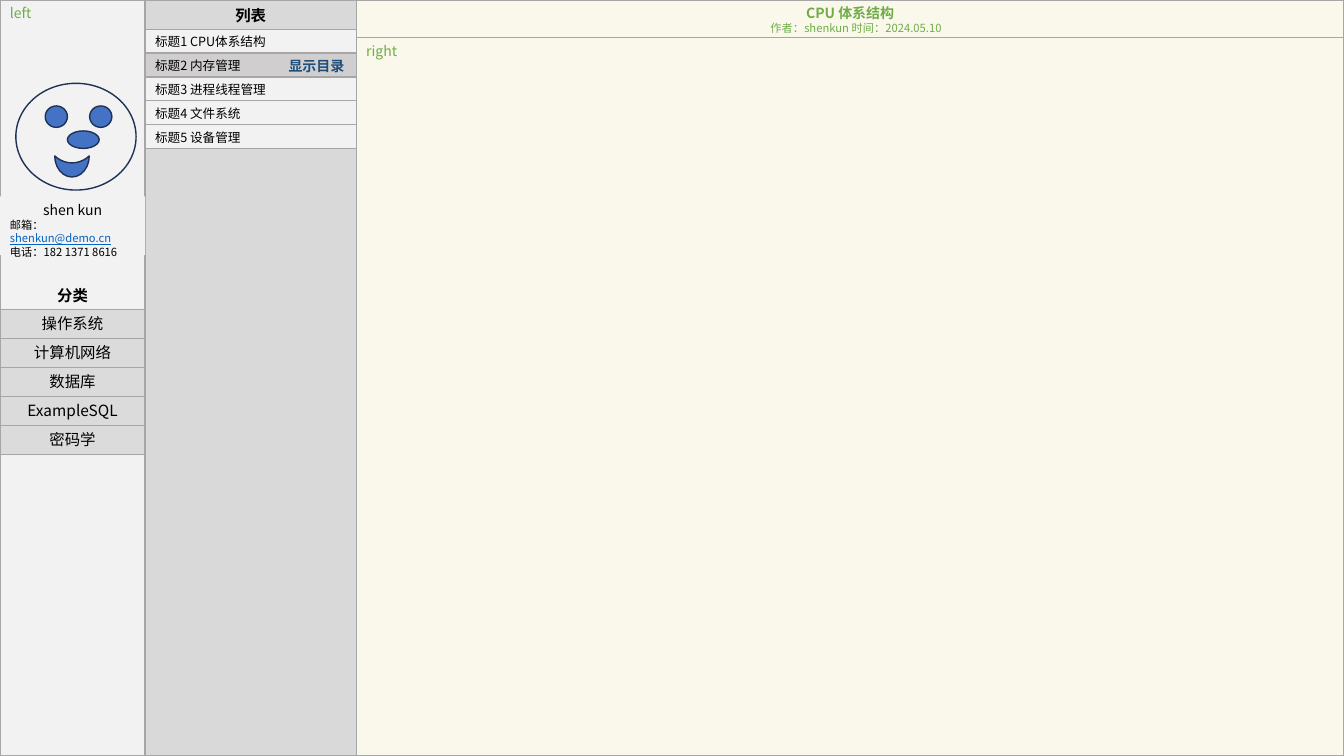
"""Build a slide that sketches the page layout of a personal notes site."""
from lxml import etree
from pptx import Presentation
from pptx.dml.color import RGBColor
from pptx.enum.shapes import MSO_SHAPE
from pptx.enum.text import MSO_ANCHOR, PP_ALIGN
from pptx.oxml.ns import qn
from pptx.util import Cm, Pt

RECT, OVAL, MOON = MSO_SHAPE.RECTANGLE, MSO_SHAPE.OVAL, MSO_SHAPE.MOON
TOP, MIDDLE = MSO_ANCHOR.TOP, MSO_ANCHOR.MIDDLE
LEFT, CENTER = PP_ALIGN.LEFT, PP_ALIGN.CENTER

FONT = "Noto Sans CJK SC"
BLACK = RGBColor(0x00, 0x00, 0x00)
PALE = RGBColor(0xF2, 0xF2, 0xF2)
GREY = RGBColor(0xD9, 0xD9, 0xD9)
BUTTON = RGBColor(0xDB, 0xDB, 0xDB)
ACTIVE = RGBColor(0xD0, 0xCE, 0xCE)
EDGE = RGBColor(0xA6, 0xA6, 0xA6)
CREAM = RGBColor(0xF9, 0xF8, 0xEB)
GREEN = RGBColor(0x70, 0xAD, 0x47)
BLUE = RGBColor(0x44, 0x72, 0xC4)
NAVY = RGBColor(0x1E, 0x32, 0x56)
LINK = RGBColor(0x05, 0x63, 0xC1)
DEEP = RGBColor(0x1F, 0x4E, 0x79)

WIDTH, HEIGHT = 33.87, 19.05
SIDE, LIST = 3.66, 5.32
PAGE = SIDE + LIST
HEAD = 0.94
GROUPS = ["操作系统", "计算机网络", "数据库", "ExampleSQL", "密码学"]
TITLES = ["标题1 CPU体系结构", "标题2 内存管理", "标题3 进程线程管理",
          "标题4 文件系统", "标题5 设备管理"]
CHOSEN = 1


def style(run, size, color, bold=False):
    """Set the font of one run for Latin and East Asian text."""
    font = run.font
    font.name, font.size, font.bold = FONT, Pt(size), bold
    font.color.rgb = color
    props = run._r.get_or_add_rPr()
    props.find(qn("a:latin")).addnext(
        etree.Element(qn("a:ea"), typeface=FONT))


def write(shape, text, size, color=BLACK, align=LEFT, bold=False, anchor=TOP):
    """Fill a shape with text in one style."""
    frame = shape.text_frame
    frame.word_wrap = True
    frame.vertical_anchor = anchor
    frame.text = text
    for para in frame.paragraphs:
        para.alignment = align
        for run in para.runs:
            style(run, size, color, bold)


def draw(slide, box, fill=None, line=EDGE, kind=RECT):
    """Add a preset shape with optional fill and line."""
    shape = slide.shapes.add_shape(kind, *map(Cm, box))
    shape.shadow.inherit = False
    if fill is None:
        shape.fill.background()
    else:
        shape.fill.solid()
        shape.fill.fore_color.rgb = fill
    if line is None:
        shape.line.fill.background()
    else:
        shape.line.color.rgb = line
        shape.line.width = Pt(1)
    return shape


def label(slide, box, text, size, color=BLACK, anchor=TOP):
    """Add a bold centred text box."""
    shape = slide.shapes.add_textbox(*map(Cm, box))
    write(shape, text, size, color, CENTER, True, anchor)


def face(slide):
    """Draw the features of the smiling face."""
    for left in (1.14, 2.26):
        draw(slide, (left, 2.67, 0.56, 0.54), BLUE, NAVY, OVAL)
    draw(slide, (1.7, 3.3, 0.8, 0.44), BLUE, NAVY, OVAL)
    mouth = draw(slide, (1.55, 3.76, 0.53, 0.87), BLUE, NAVY, MOON)
    mouth.rotation = 270
    mouth.adjustments[0] = 0.67
    draw(slide, (0.4, 2.1, 3.03, 2.69), None, NAVY, OVAL)


def contact(slide):
    """Add the name, mail and phone of the author."""
    card = draw(slide, (0, 4.95, SIDE, 1.48), PALE, None)
    write(card, "shen kun\n邮箱：\n电话：182 1371 8616", 8)
    name, mail, phone = card.text_frame.paragraphs
    name.alignment = CENTER
    name.runs[0].font.size = Pt(10)
    link = mail.add_run()
    link.text = "shenkun@demo.cn"
    style(link, 8, LINK)
    link.font.underline = True


def groups(slide):
    """Add the category heading and its buttons."""
    label(slide, (0, 7.09, SIDE, 0.71), "分类", 11)
    step = 0.73
    for i, text in enumerate(GROUPS):
        item = draw(slide, (0, 7.8 + i * step, SIDE, step), BUTTON)
        write(item, text, 11, align=CENTER)


def titles(slide):
    """Add the list heading, its rows and the switch on the chosen row."""
    label(slide, (SIDE, 0.08, LIST, 0.64), "列表", 11, anchor=MIDDLE)
    top, step = 0.74, 0.6
    for i, text in enumerate(TITLES):
        fill = ACTIVE if i == CHOSEN else PALE
        row = draw(slide, (SIDE, top + i * step, LIST, step), fill)
        write(row, text, 9)
    label(slide, (6.96, top + CHOSEN * step + 0.04, 2.03, 0.54),
          "显示目录", 10, DEEP, MIDDLE)


def header(slide):
    """Add the article title with its author and date."""
    bar = draw(slide, (PAGE, 0, WIDTH - PAGE, HEAD), CREAM)
    write(bar, "CPU 体系结构\n作者：shenkun 时间：2024.05.10",
          10, GREEN, CENTER, True)
    note = bar.text_frame.paragraphs[1]
    note.runs[0].font.size = Pt(8)
    note.runs[0].font.bold = False
    note._p.get_or_add_pPr().set("marL", str(Cm(0.3)))


def main():
    """Build the slide and save it."""
    deck = Presentation()
    deck.slide_width, deck.slide_height = Cm(WIDTH), Cm(HEIGHT)
    slide = deck.slides.add_slide(deck.slide_layouts[6])
    side = draw(slide, (0, 0, SIDE, HEIGHT), PALE)
    write(side, "left", 10, GREEN)
    draw(slide, (SIDE, 0, LIST, HEIGHT), GREY)
    page = draw(slide, (PAGE, HEAD, WIDTH - PAGE, HEIGHT - HEAD), CREAM)
    write(page, "right", 10, GREEN)
    face(slide)
    contact(slide)
    groups(slide)
    titles(slide)
    header(slide)
    deck.save("out.pptx")


if __name__ == "__main__":
    main()
